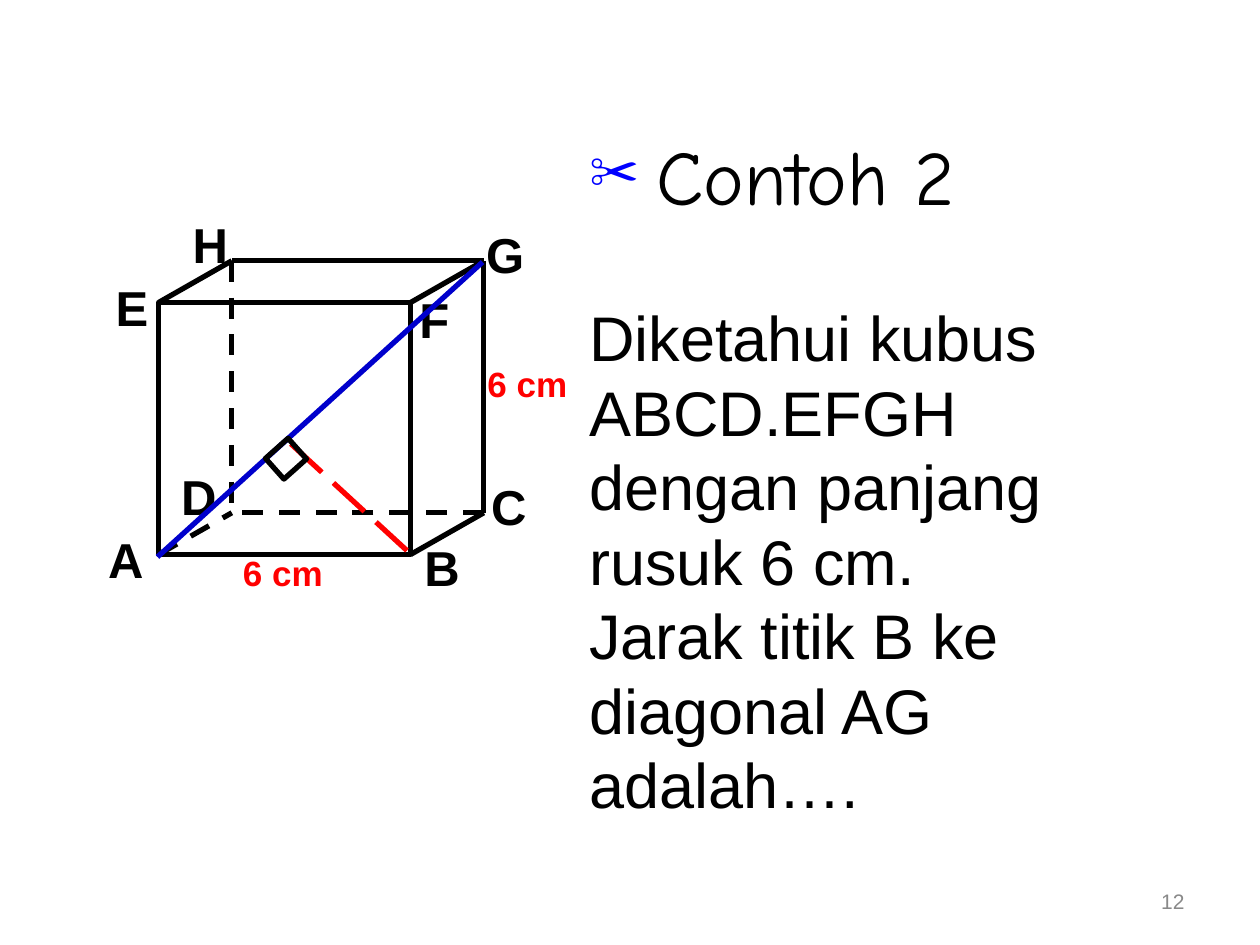
from lxml.etree import SubElement
from pptx import Presentation
from pptx.dml.color import RGBColor
from pptx.enum.dml import MSO_LINE
from pptx.enum.shapes import MSO_CONNECTOR, MSO_SHAPE
from pptx.enum.text import MSO_ANCHOR, PP_ALIGN
from pptx.oxml.ns import qn
from pptx.util import Inches, Pt

rgb = RGBColor.from_string
prs = Presentation()
prs.slide_width, prs.slide_height = Inches(10), Inches(7.5)
s = prs.slides.add_slide(prs.slide_layouts[6])


def add_text(x, y, w, h, lines, color, **fmt):
    tf = s.shapes.add_textbox(Inches(x), Inches(y), Inches(w), Inches(h)).text_frame
    tf.word_wrap = True
    for i, line in enumerate(lines):
        p = tf.paragraphs[0] if i == 0 else tf.add_paragraph()
        r = p.add_run()
        r.text = line
        for key, value in {"name": "Arial", **fmt}.items():
            setattr(r.font, key, value)
        r.font.color.rgb = rgb(color)
    return tf


def add_line(start, end, color="000000", dash=None):
    c = s.shapes.add_connector(MSO_CONNECTOR.STRAIGHT, *map(Inches, start + end))
    c.line.color.rgb = rgb(color)
    c.line.width = Pt(3)
    if dash:
        c.line.dash_style = dash
    SubElement(c._element.spPr, qn("a:effectLst"))


tf = add_text(7.17, 6.95, 2.33, 0.4, ["12"], "898989", size=Pt(12))
tf.vertical_anchor = MSO_ANCHOR.MIDDLE
tf.paragraphs[0].alignment = PP_ALIGN.RIGHT

problem = ["Contoh 2", "Diketahui kubus", "ABCD.EFGH", "dengan panjang",
           "rusuk 6 cm.", "Jarak titik B ke", "diagonal AG", "adalah…."]
tf = add_text(4.58, 1.17, 4.67, 5.31, problem, "000000", size=Pt(36))
for p in tf.paragraphs:
    fmt = {"alignment": PP_ALIGN.JUSTIFY, "line_spacing": 0.75, "space_before": Pt(10.2)}
    for key, value in fmt.items():
        setattr(p, key, value)
title, first = tf.paragraphs[:2]
title.line_spacing = 0.7
title.space_before = Pt(0)
first.space_before = Pt(56)
title.runs[0].font.name = "Comic Neue"
title.runs[0].font.size = Pt(44)
pPr = title._p.get_or_add_pPr()
pPr.set("marL", str(Inches(0.53)))
pPr.set("indent", str(-Inches(0.53)))
SubElement(SubElement(pPr, qn("a:buClr")), qn("a:srgbClr"), val="0000FF")
SubElement(pPr, qn("a:buSzPct"), val="65000")
SubElement(pPr, qn("a:buFont"), typeface="Arial")
SubElement(pPr, qn("a:buChar"), char="✂")

left, top, edge, dx, dy = 1.26, 2.4, 2, 0.58, -0.33
corners = {}
for names, x, y in [("AD", left, top + edge), ("BC", left + edge, top + edge),
                    ("EH", left, top), ("FG", left + edge, top)]:
    corners[names[0]] = (x, y)
    corners[names[1]] = (x + dx, y + dy)

for x, y, w, h, angle in [(left, top, edge, edge, 0), (2.15, 3.53, 0.24, 0.22, 318.3)]:
    sp = s.shapes.add_shape(MSO_SHAPE.RECTANGLE, Inches(x), Inches(y), Inches(w), Inches(h))
    sp.shadow.inherit = False
    sp.fill.background()
    sp.line.color.rgb = rgb("000000")
    sp.line.width = Pt(3)
    sp.rotation = angle

for a, b in ["EH", "FG", "BC", "GC", "GH"]:
    add_line(corners[a], corners[b])
for a, b in ["AD", "HD", "CD"]:
    add_line(corners[a], corners[b], dash=MSO_LINE.DASH)

labels = {"A": (0.76, 4.15), "B": (3.27, 4.22), "C": (3.8, 3.73), "D": (1.34, 3.65),
          "H": (1.43, 1.65), "E": (0.82, 2.15), "F": (3.23, 2.25), "G": (3.76, 1.73)}
for name, (x, y) in labels.items():
    add_text(x, y, 0.5, 0.57, [name], "000000", size=Pt(28), bold=True)
for x, y in [(3.77, 2.83), (1.83, 4.33)]:
    add_text(x, y, 1.08, 0.44, ["6 cm"], "FF0000", size=Pt(20), bold=True)

add_line((1.25, 4.42), (3.83, 2.08), "0000CC")
add_line((3.23, 4.37), (2.23, 3.45), "FF0000", MSO_LINE.LONG_DASH)
s.shapes._spTree.append(sp._element)

prs.save("out.pptx")
